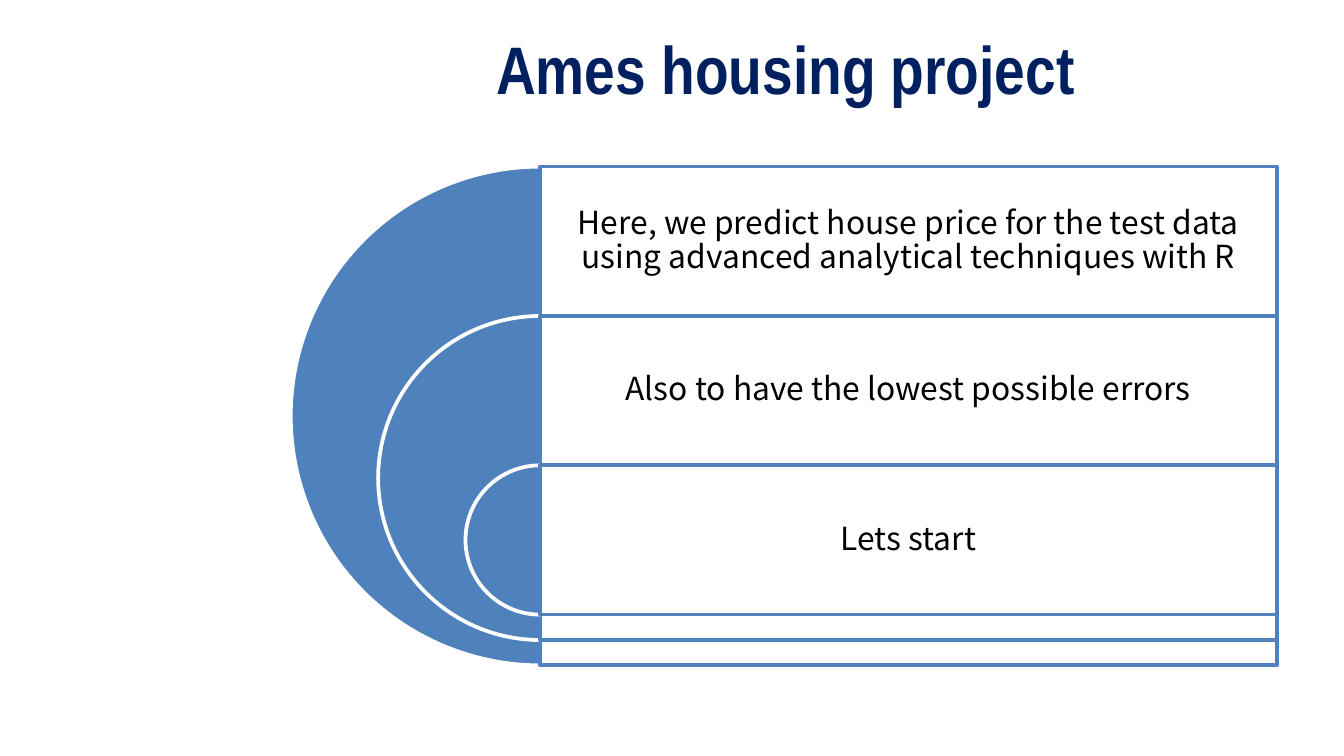
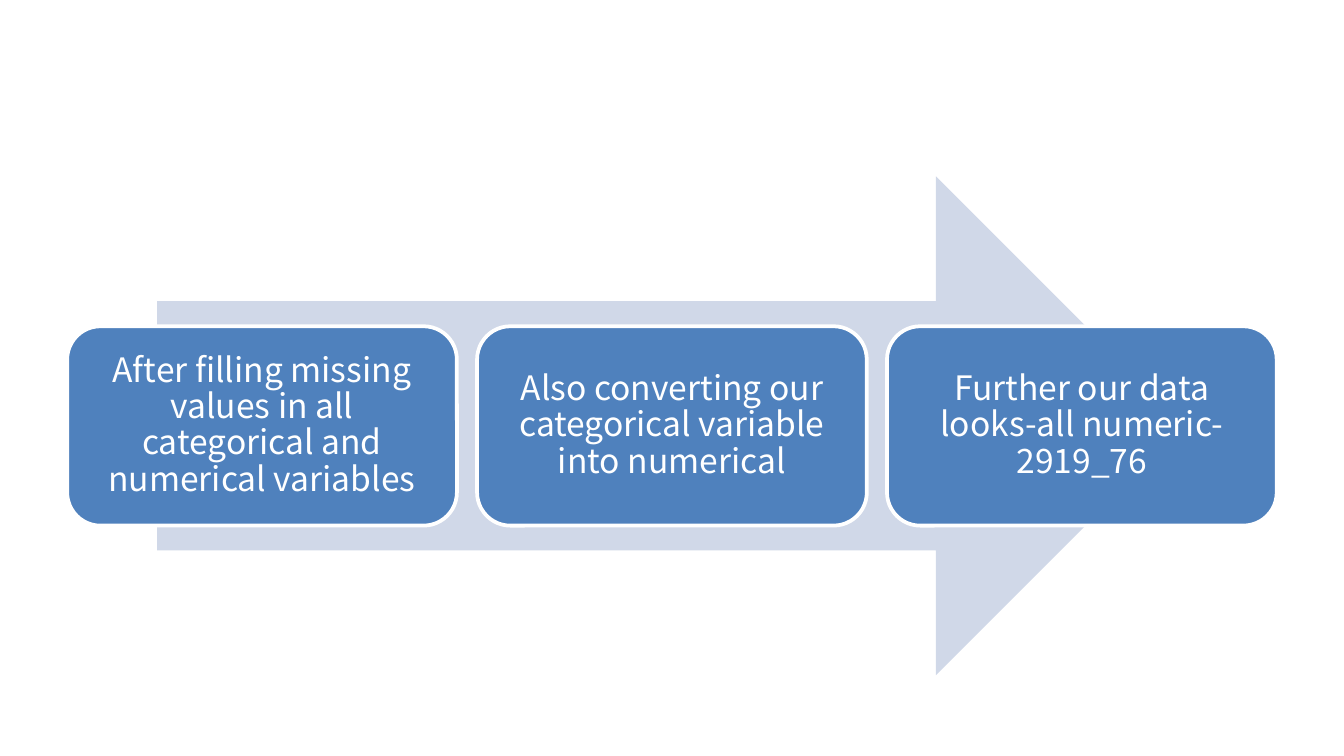
from lxml import etree
from pptx import Presentation
from pptx.dml.color import RGBColor
from pptx.enum.shapes import MSO_SHAPE
from pptx.enum.text import MSO_ANCHOR, PP_ALIGN
from pptx.oxml.ns import qn
from pptx.util import Pt

PIE, RECTANGLE = MSO_SHAPE.PIE, MSO_SHAPE.RECTANGLE
ARROW, ROUNDED = MSO_SHAPE.RIGHT_ARROW, MSO_SHAPE.ROUNDED_RECTANGLE
MIDDLE, CENTER = MSO_ANCHOR.MIDDLE, PP_ALIGN.CENTER

WHITE = RGBColor(0xFF, 0xFF, 0xFF)
BLACK = RGBColor(0, 0, 0)
NAVY = RGBColor(0x00, 0x20, 0x60)
BLUE = RGBColor(0x4F, 0x81, 0xBD)
PALE_BLUE = RGBColor(0xD0, 0xD8, 0xE8)

BODY_FONT = "Noto Sans CJK KR"
TITLE_STYLE = {"name": "Arial Narrow", "size": Pt(36), "bold": True}
STEP_STYLE = {"name": BODY_FONT, "size": Pt(17)}
CARD_STYLE = {"name": BODY_FONT, "size": Pt(18)}
BODY_SPACING = {"line_spacing": 0.9, "space_after": Pt(6)}
INSET = 5


def add_shape(page, kind, left, top, width, height, fill, outline=None):
    shape = page.shapes.add_shape(kind, Pt(left), Pt(top), Pt(width), Pt(height))
    shape.shadow.inherit = False
    shape.fill.solid()
    shape.fill.fore_color.rgb = fill
    if outline is None:
        shape.line.fill.background()
    else:
        shape.line.color.rgb = outline
        shape.line.width = Pt(2)
    return shape


def write_text(shape, text, style, color, spacing, bottom=INSET):
    """Centre one paragraph in the shape, above the given bottom inset."""
    frame = shape.text_frame
    frame.word_wrap = True
    frame.vertical_anchor = MIDDLE
    frame.margin_left = frame.margin_right = frame.margin_top = Pt(INSET)
    frame.margin_bottom = Pt(bottom)
    para = frame.paragraphs[0]
    para.alignment = CENTER
    for name, value in spacing.items():
        setattr(para, name, value)
    span = para.add_run()
    span.text = text
    for name, value in style.items():
        setattr(span.font, name, value)
    span.font.color.rgb = color


deck = Presentation()
deck.slide_width, deck.slide_height = Pt(720), Pt(405)
blank = deck.slide_layouts[6]

# Project goals: nested half circles, each with a panel to its right
page = deck.slides.add_slide(blank)
title = page.shapes.add_textbox(Pt(121.7), Pt(2.2), Pt(598.3), Pt(67.6))
write_text(title, "Ames housing project", TITLE_STYLE, NAVY, {})

goals = [
    "Here, we predict house price for the test data using advanced analytical techniques with R",
    "Also to have the lowest possible errors",
    "Lets start",
]
AXIS, GOALS_TOP, ROW_HEIGHT, PANEL_WIDTH = 289.4, 89.3, 80, 394.6
OUTER_DIAMETER, DIAMETER_STEP = 267.2, 93.6
for row, goal in enumerate(goals):
    top = GOALS_TOP + row * ROW_HEIGHT
    diameter = OUTER_DIAMETER - row * DIAMETER_STEP
    half = add_shape(page, PIE, AXIS - diameter / 2, top, diameter, diameter, BLUE, WHITE)
    half.adjustments[0], half.adjustments[1] = 54, 162
    panel = add_shape(page, RECTANGLE, AXIS, top, PANEL_WIDTH, diameter, WHITE, BLUE)
    tint = panel.fill._xPr.find(qn("a:solidFill"))[0]
    etree.SubElement(tint, qn("a:alpha"), val="90000")
    write_text(panel, goal, STEP_STYLE, BLACK, BODY_SPACING,
               bottom=diameter - ROW_HEIGHT + INSET)

# Data preparation: three cards along an arrow
page = deck.slides.add_slide(blank)
add_shape(page, ARROW, 84.2, 94.5, 550.8, 267.2, PALE_BLUE)
cards = [
    "After filling missing values in all categorical and numerical variables",
    "Also converting our categorical variable into numerical",
    "Further our data looks-all numeric- 2919_76",
]
CARD_WIDTH, CARD_GAP = 208.8, 10.8
for column, text in enumerate(cards):
    left = 36 + column * (CARD_WIDTH + CARD_GAP)
    card = add_shape(page, ROUNDED, left, 174.8, CARD_WIDTH, 106.8, BLUE, WHITE)
    write_text(card, text, CARD_STYLE, WHITE, BODY_SPACING)

deck.save("out.pptx")
